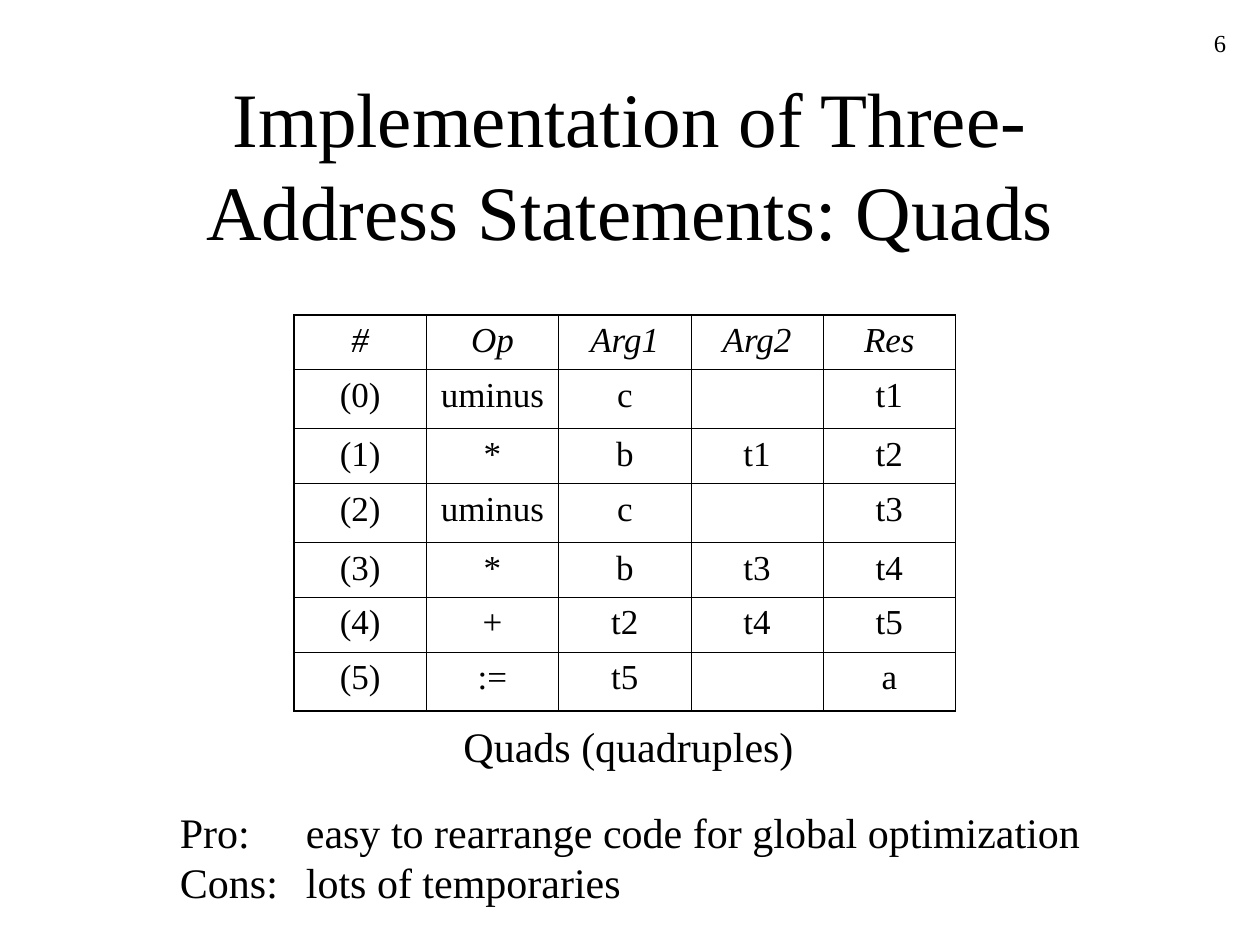
from lxml import etree
from pptx import Presentation
from pptx import util as u
from pptx.dml.color import RGBColor
from pptx.enum import text
from pptx.oxml import ns

COLOURS = {"ink": "000000"}
FONT = "Times New Roman"
THIN, THICK = 0.45, 1.08
QUADS = [
    ["#", "Op", "Arg1", "Arg2", "Res"],
    ["(0)", "uminus", "c", "", "t1"],
    ["(1)", "*", "b", "t1", "t2"],
    ["(2)", "uminus", "c", "", "t3"],
    ["(3)", "*", "b", "t3", "t4"],
    ["(4)", "+", "t2", "t4", "t5"],
    ["(5)", ":=", "t5", "", "a"],
]


def add_child(parent, tag, **attributes):
    child = etree.SubElement(parent, ns.qn(tag))
    for name, value in attributes.items():
        child.set(name, str(value))
    return child


def write(frame, words, size, align="LEFT", italic=False, tab=None):
    para = frame.paragraphs[0]
    para.text = words
    if tab:
        tabs = add_child(para._p.get_or_add_pPr(), "a:tabLst")
        add_child(tabs, "a:tab", pos=u.Inches(tab), algn="l")
    para.alignment = getattr(text.PP_ALIGN, align)
    for span in para.runs:
        span.font.name = FONT
        span.font.size = u.Pt(size)
        span.font.italic = italic
        span.font.color.rgb = RGBColor.from_string(COLOURS["ink"])


def add_text(page, bounds, words, size, wrap=True, middle=False, **style):
    box = page.shapes.add_textbox(*map(u.Inches, bounds))
    frame = box.text_frame
    frame.word_wrap = wrap
    if not wrap:
        frame.auto_size = text.MSO_AUTO_SIZE.SHAPE_TO_FIT_TEXT
    if middle:
        frame.vertical_anchor = text.MSO_ANCHOR.MIDDLE
    write(frame, words, size, **style)


def set_borders(cell, widths):
    """Draw the left, right, top and bottom borders, in that order."""
    properties = cell._tc.get_or_add_tcPr()
    for side, width in zip("LRTB", widths):
        line = add_child(properties, f"a:ln{side}", w=u.Pt(width))
        fill = add_child(line, "a:solidFill")
        add_child(fill, "a:srgbClr", val=COLOURS["ink"])


def add_quad_table(page, left, top, width):
    rows, columns = len(QUADS), len(QUADS[0])
    heights = [0.43 if all(values) else 0.47 for values in QUADS]
    bounds = map(u.Inches, (left, top, width, sum(heights)))
    table = page.shapes.add_table(rows, columns, *bounds).table
    table.first_row = table.horz_banding = False
    for column in table.columns:
        column.width = u.Inches(width / columns)
    for r, values in enumerate(QUADS):
        table.rows[r].height = u.Inches(heights[r])
        for c, value in enumerate(values):
            cell = table.cell(r, c)
            edges = (c == 0, c == columns - 1, r == 0, r == rows - 1)
            set_borders(cell, [THICK if edge else THIN for edge in edges])
            cell.fill.background()
            if value:
                write(cell.text_frame, value, 20, align="CENTER", italic=r == 0)


def add_remarks(page, left, top):
    add_text(page, (left + 2.25, top, 2.82, 0.5), "Quads (quadruples)", 24, wrap=False)
    add_text(page, (left, top + 0.68, 7.5, 0.9),
             "Pro:\teasy to rearrange code for global optimization\v"
             "Cons:\tlots of temporaries", 24, tab=1)


def main():
    deck = Presentation()
    deck.slide_width, deck.slide_height = u.Inches(10), u.Inches(7.5)
    page = deck.slides.add_slide(deck.slide_layouts[6])
    add_text(page, (7.75, 0.17, 2.08, 0.5), "6", 14, align="RIGHT")
    add_text(page, (0.75, 0.67, 8.5, 1.25),
             "Implementation of Three-Address Statements: Quads", 44,
             middle=True, align="CENTER")
    add_quad_table(page, 7 / 3, 2.5, 5.25)
    add_remarks(page, 1.33, 5.67)
    deck.save("out.pptx")


if __name__ == "__main__":
    main()
